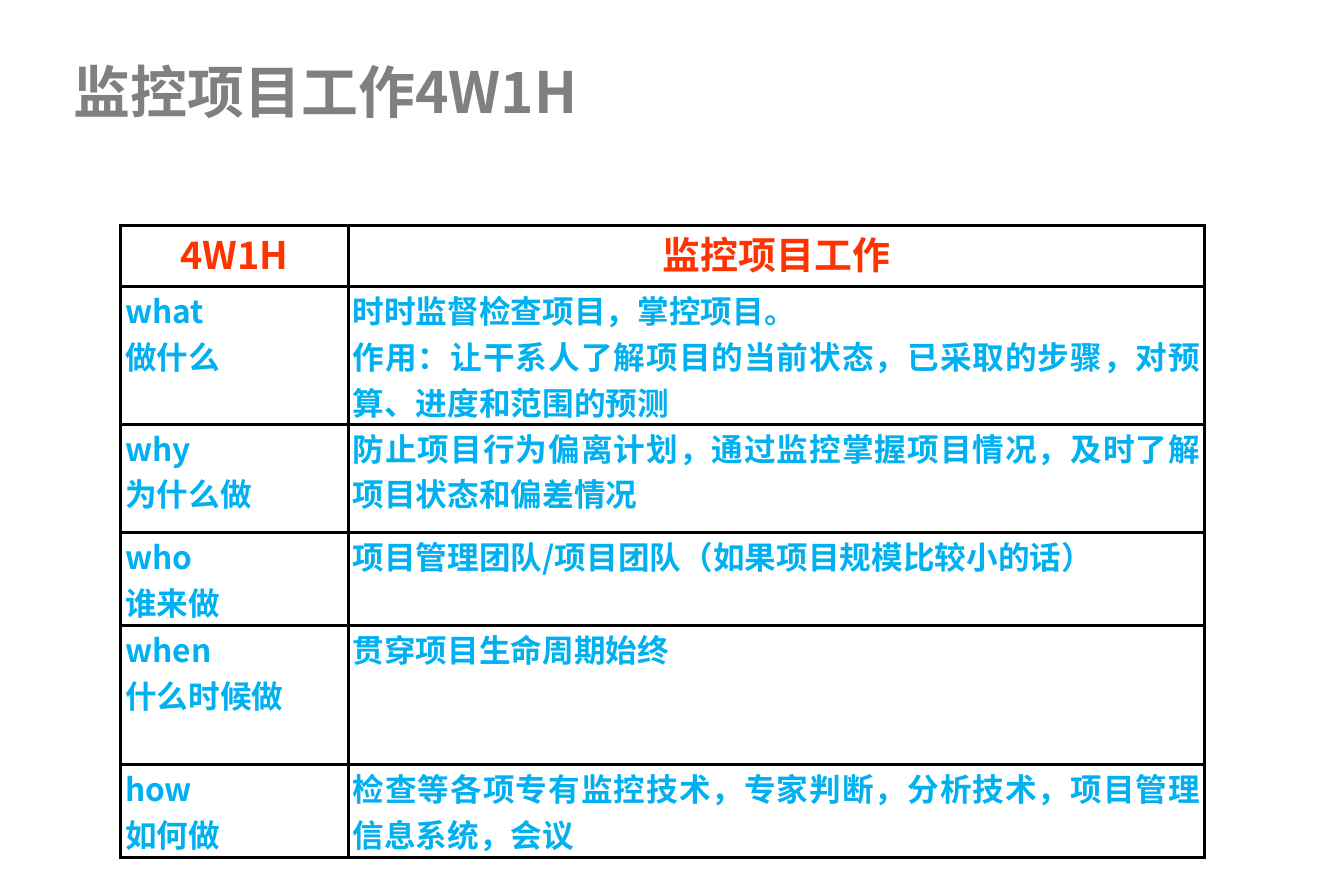
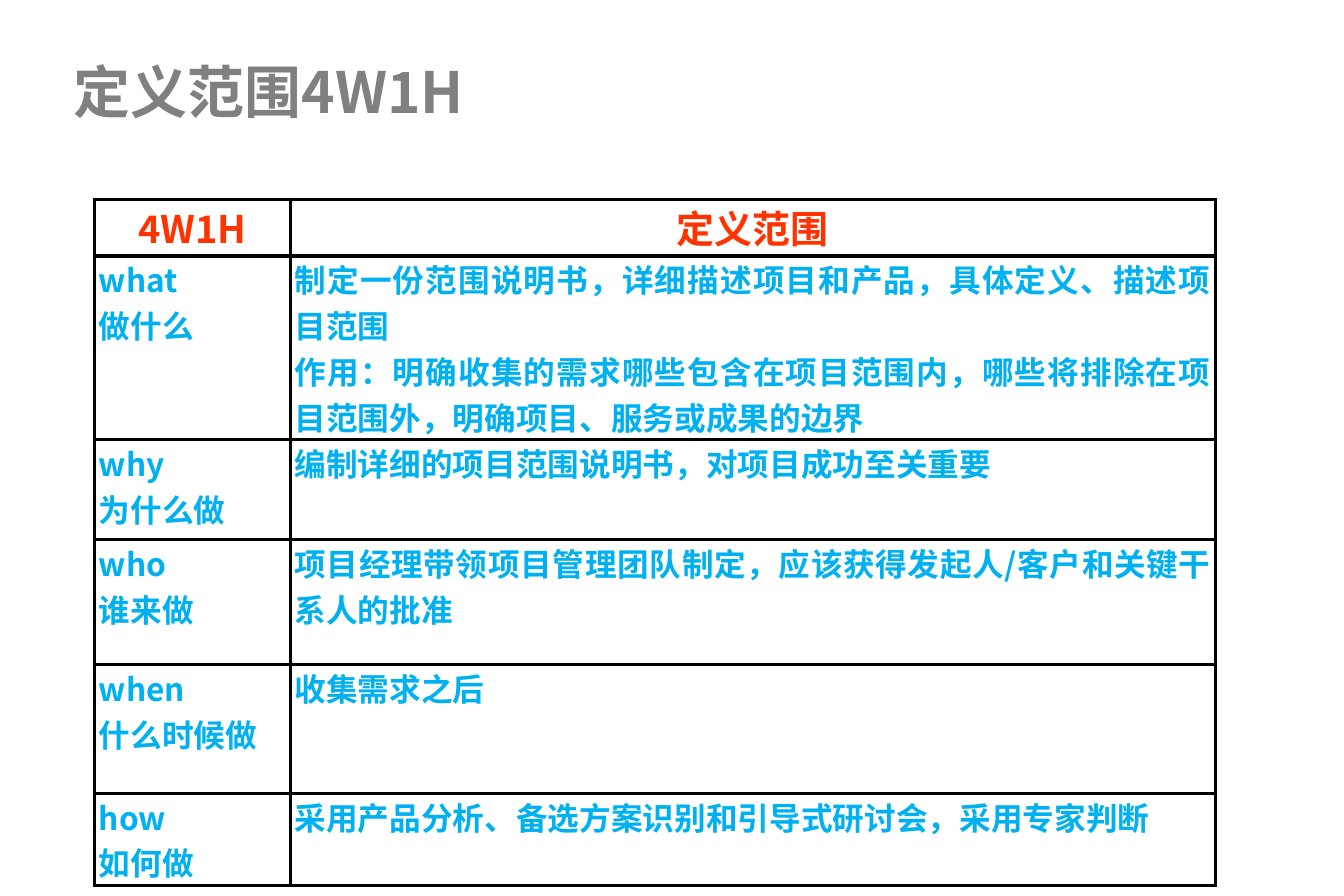
import pptx
import pptx.util
import pptx.dml.color
import pptx.enum.text
import pptx.oxml
import pptx.oxml.ns

Inches = pptx.util.Inches
Pt = pptx.util.Pt
RGBColor = pptx.dml.color.RGBColor
ALIGN = pptx.enum.text.PP_ALIGN
ANCHOR = pptx.enum.text.MSO_ANCHOR

GRAY = RGBColor(0x80, 0x80, 0x80)
RED = RGBColor(0xFF, 0x33, 0x00)
BLUE = RGBColor(0x00, 0xB0, 0xF0)
WHITE = RGBColor(0xFF, 0xFF, 0xFF)
BLACK = RGBColor(0x00, 0x00, 0x00)
FONT = "Noto Sans CJK SC"

TITLE = {"size": 36, "color": GRAY, "align": ALIGN.LEFT}
HEAD = {"size": 24, "color": RED, "align": ALIGN.CENTER}
BODY = {"size": 20, "color": BLUE, "align": ALIGN.JUSTIFY}
TITLE_FRAME = {
    "margin_left": Inches(0.11), "margin_right": Inches(0.11),
    "margin_top": Inches(0.06), "margin_bottom": Inches(0.06),
    "vertical_anchor": ANCHOR.MIDDLE, "word_wrap": True,
    "auto_size": pptx.enum.text.MSO_AUTO_SIZE.NONE,
}
CELL = {
    "margin_left": Inches(0.04), "margin_right": Inches(0.04),
    "margin_top": 0, "margin_bottom": 0, "vertical_anchor": ANCHOR.TOP,
}
LABELS = ["4W1H", "what\n做什么", "why\n为什么做", "who\n谁来做",
          "when\n什么时候做", "how\n如何做"]

SLIDES = [
    {
        "topic": "监控项目工作",
        "at": (1.06, 1.98),
        "cols": [2, 7.53],
        "rows": [0.54, 1.19, 0.95, 0.82, 1.22, 0.82],
        "answers": [
            "时时监督检查项目，掌控项目。\n"
            "作用：让干系人了解项目的当前状态，已采取的步骤，对预算、进度和范围的预测 ",
            "防止项目行为偏离计划，通过监控掌握项目情况，及时了解项目状态和偏差情况",
            "项目管理团队/项目团队（如果项目规模比较小的话）",
            "贯穿项目生命周期始终",
            "检查等各项专有监控技术，专家判断，分析技术，项目管理信息系统，会议",
        ],
    },
    {
        "topic": "定义范围",
        "at": (0.83, 1.75),
        "cols": [1.72, 8.13],
        "rows": [0.5, 1.47, 0.88, 1.1, 1.13, 0.75],
        "answers": [
            "制定一份范围说明书，详细描述项目和产品，具体定义、描述项目范围\n"
            "作用：明确收集的需求哪些包含在项目范围内，哪些将排除在项目范围外，明确项目、服务或成果的边界",
            "编制详细的项目范围说明书，对项目成功至关重要",
            "项目经理带领项目管理团队制定，应该获得发起人/客户和关键干系人的批准",
            "收集需求之后",
            "采用产品分析、备选方案识别和引导式研讨会，采用专家判断",
        ],
    },
]


def write(tf, text, style):
    tf.text = text
    for p in tf.paragraphs:
        p.alignment = style["align"]
        for r in p.runs:
            r.font.name = FONT
            r.font.size = Pt(style["size"])
            r.font.bold = True
            r.font.color.rgb = style["color"]
            ea = pptx.oxml.parse_xml(
                f'<a:ea {pptx.oxml.ns.nsdecls("a")} typeface="{FONT}"/>')
            r.font._element.append(ea)


def format_cell(cell):
    for name, value in CELL.items():
        setattr(cell, name, value)
    cell.fill.solid()
    cell.fill.fore_color.rgb = WHITE
    tcPr = cell._tc.get_or_add_tcPr()
    for i, side in enumerate("LRTB"):
        tcPr.insert(i, pptx.oxml.parse_xml(
            f'<a:ln{side} {pptx.oxml.ns.nsdecls("a")} w="{Pt(2.25)}">'
            f'<a:solidFill><a:srgbClr val="{BLACK}"/></a:solidFill></a:ln{side}>'))


prs = pptx.Presentation()
prs.slide_width = Inches(189 / 16)
prs.slide_height = Inches(63 / 8)

for data in SLIDES:
    s = prs.slides.add_slide(prs.slide_layouts[5])
    title = s.shapes.title
    title.left, title.top = Inches(0.54), Inches(0.49)
    title.width, title.height = Inches(10.63), Inches(0.62)
    for name, value in TITLE_FRAME.items():
        setattr(title.text_frame, name, value)
    write(title.text_frame, data["topic"] + "4W1H", TITLE)

    left, top = data["at"]
    cols, rows = data["cols"], data["rows"]
    table = s.shapes.add_table(
        len(rows), len(cols), Inches(left), Inches(top),
        Inches(sum(cols)), Inches(sum(rows))).table
    for col, width in zip(table.columns, cols):
        col.width = Inches(width)
    for row, height in zip(table.rows, rows):
        row.height = Inches(height)

    texts = zip(LABELS, [data["topic"]] + data["answers"])
    for i, pair in enumerate(texts):
        for j, text in enumerate(pair):
            cell = table.cell(i, j)
            format_cell(cell)
            write(cell.text_frame, text, BODY if i else HEAD)

prs.save("out.pptx")
